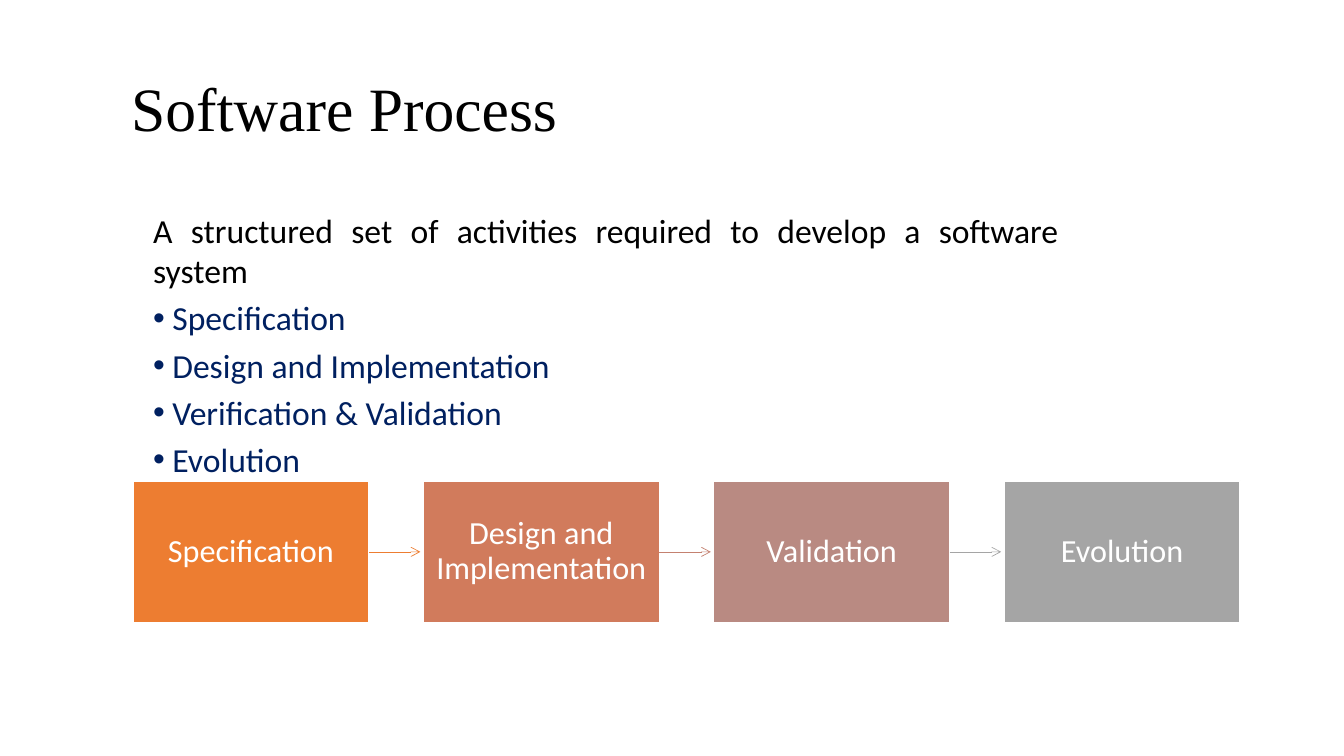
import pptx
import pptx.util
import pptx.dml.color
import pptx.enum.shapes
import pptx.enum.text
import pptx.oxml.ns
import lxml.etree

Inches = pptx.util.Inches
Pt = pptx.util.Pt
RGBColor = pptx.dml.color.RGBColor
Align = pptx.enum.text.PP_ALIGN
Anchor = pptx.enum.text.MSO_ANCHOR
qn = pptx.oxml.ns.qn

BLACK = RGBColor(0x00, 0x00, 0x00)
WHITE = RGBColor(0xFF, 0xFF, 0xFF)
NAVY = RGBColor(0x00, 0x20, 0x60)
ORANGE = RGBColor(0xED, 0x7D, 0x31)
CORAL = RGBColor(0xD1, 0x7B, 0x5C)
CLAY = RGBColor(0xC4, 0x81, 0x70)
ROSE = RGBColor(0xB9, 0x8A, 0x82)
GRAY = RGBColor(0xA5, 0xA5, 0xA5)


def place(shape, left, top, width, height):
    spots = {"left": left, "top": top, "width": width, "height": height}
    for name, size in spots.items():
        setattr(shape, name, Inches(size))


def add_run(para, text, size, face, color):
    run = para.add_run()
    run.text = text
    for name, value in {"size": Pt(size), "name": face}.items():
        setattr(run.font, name, value)
    run.font.color.rgb = color


deck = pptx.Presentation()
deck.slide_width = Inches(13.33)
deck.slide_height = Inches(7.5)
slide = deck.slides.add_slide(deck.slide_layouts[1])

# Title
title = slide.shapes.title
place(title, 1.2, 0.31, 11, 1.59)
title.text_frame.vertical_anchor = Anchor.MIDDLE
head = title.text_frame.paragraphs[0]
head.alignment = Align.LEFT
head.line_spacing = 0.9
add_run(head, "Software Process", 44, "Times New Roman", BLACK)

# Definition and list of activities
body = slide.placeholders[1]
place(body, 1.41, 2.03, 9.19, 2.4)
frame = body.text_frame
frame.auto_size = pptx.enum.text.MSO_AUTO_SIZE.NONE
lines = [
    "A structured set of activities required to develop a software system",
    "Specification",
    "Design and Implementation",
    "Verification & Validation",
    "Evolution",
]
for i, line in enumerate(lines):
    para = frame.add_paragraph() if i else frame.paragraphs[0]
    props = para._p.get_or_add_pPr()
    if i:
        marks = {"marL": 0.2, "indent": -0.19}
        lxml.etree.SubElement(props, qn("a:buChar")).set("char", "•")
    else:
        marks = {"marL": 0.01, "indent": 0}
        lxml.etree.SubElement(props, qn("a:buNone"))
    for name, size in marks.items():
        props.set(name, str(Inches(size)))
    para.alignment = Align.JUSTIFY
    para.space_before = Pt(5 if i else 0)
    add_run(para, line, 24, "Calibri", NAVY if i else BLACK)

# Process steps: label, box colour, colour of the arrow that follows
steps = [
    ("Specification", ORANGE, ORANGE),
    ("Design and Implementation", CORAL, CLAY),
    ("Validation", ROSE, GRAY),
    ("Evolution", GRAY, None),
]
START, TOP, WIDTH, HEIGHT = 1.32, 4.77, 2.34, 1.41
PITCH, REACH = 2.88, 0.51
pads = {"margin_left": 0.11, "margin_right": 0.11,
        "margin_top": 0.12, "margin_bottom": 0.12}

for i, (label, fill, tint) in enumerate(steps):
    left = START + i * PITCH
    box = slide.shapes.add_shape(
        pptx.enum.shapes.MSO_SHAPE.RECTANGLE,
        Inches(left), Inches(TOP), Inches(WIDTH), Inches(HEIGHT))
    box.shadow.inherit = False
    box.fill.solid()
    box.fill.fore_color.rgb = fill
    box.line.color.rgb = WHITE
    box.line.width = Pt(1)
    frame = box.text_frame
    frame.word_wrap = True
    frame.vertical_anchor = Anchor.MIDDLE
    for name, size in pads.items():
        setattr(frame, name, Inches(size))
    para = frame.paragraphs[0]
    para.alignment = Align.CENTER
    para.line_spacing = 0.9
    add_run(para, label, 23, "Calibri", WHITE)

    if tint is None:
        continue
    right, mid = left + WIDTH, TOP + HEIGHT / 2
    arrow = slide.shapes.add_connector(
        pptx.enum.shapes.MSO_CONNECTOR.STRAIGHT,
        Inches(right), Inches(mid), Inches(right + REACH), Inches(mid))
    arrow.begin_connect(box, 3)
    arrow.line.color.rgb = tint
    arrow.line.width = Pt(0.5)
    tip = lxml.etree.SubElement(arrow.line._get_or_add_ln(), qn("a:tailEnd"))
    tip.set("type", "arrow")
    lxml.etree.SubElement(arrow._element.spPr, qn("a:effectLst"))

deck.save("out.pptx")
